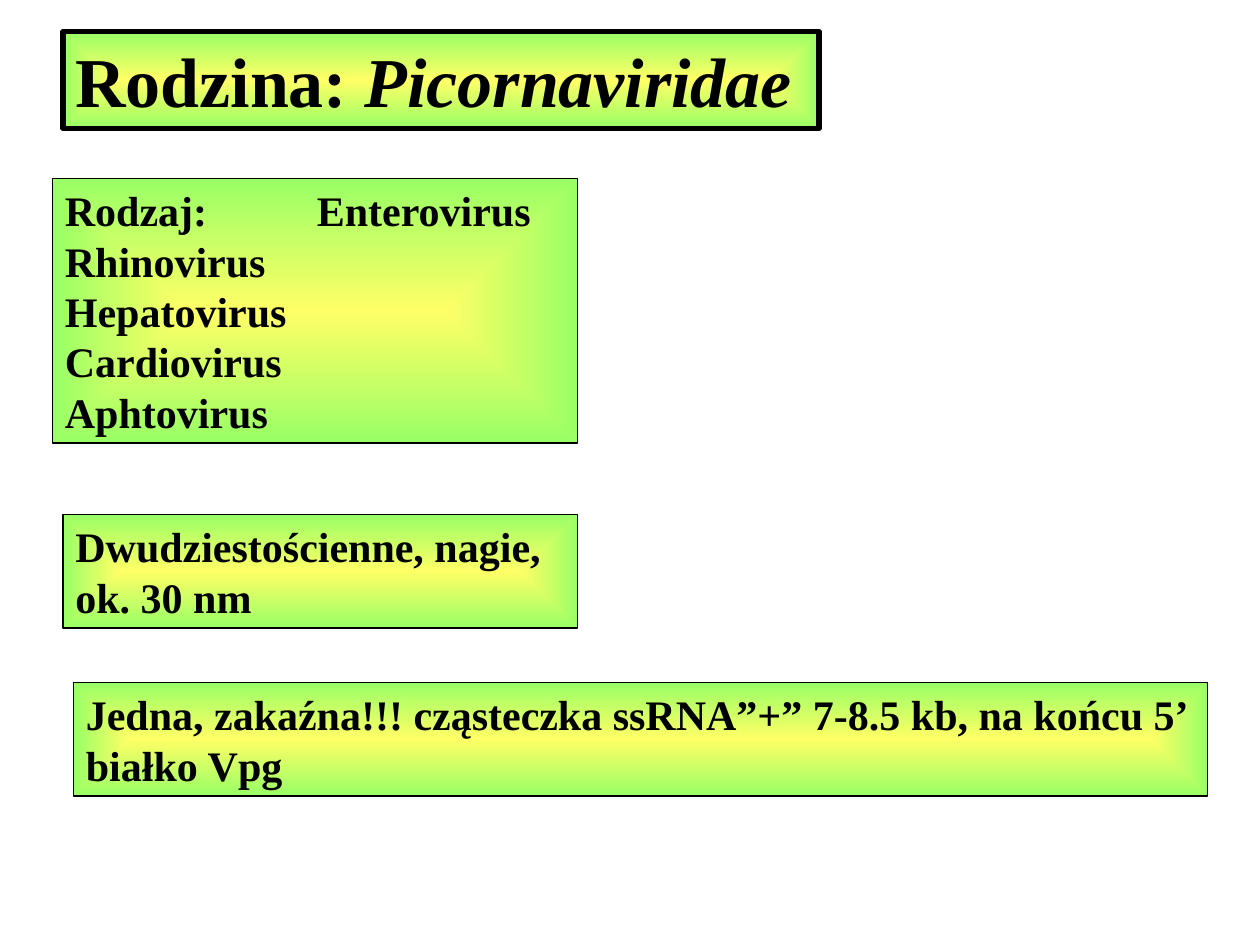
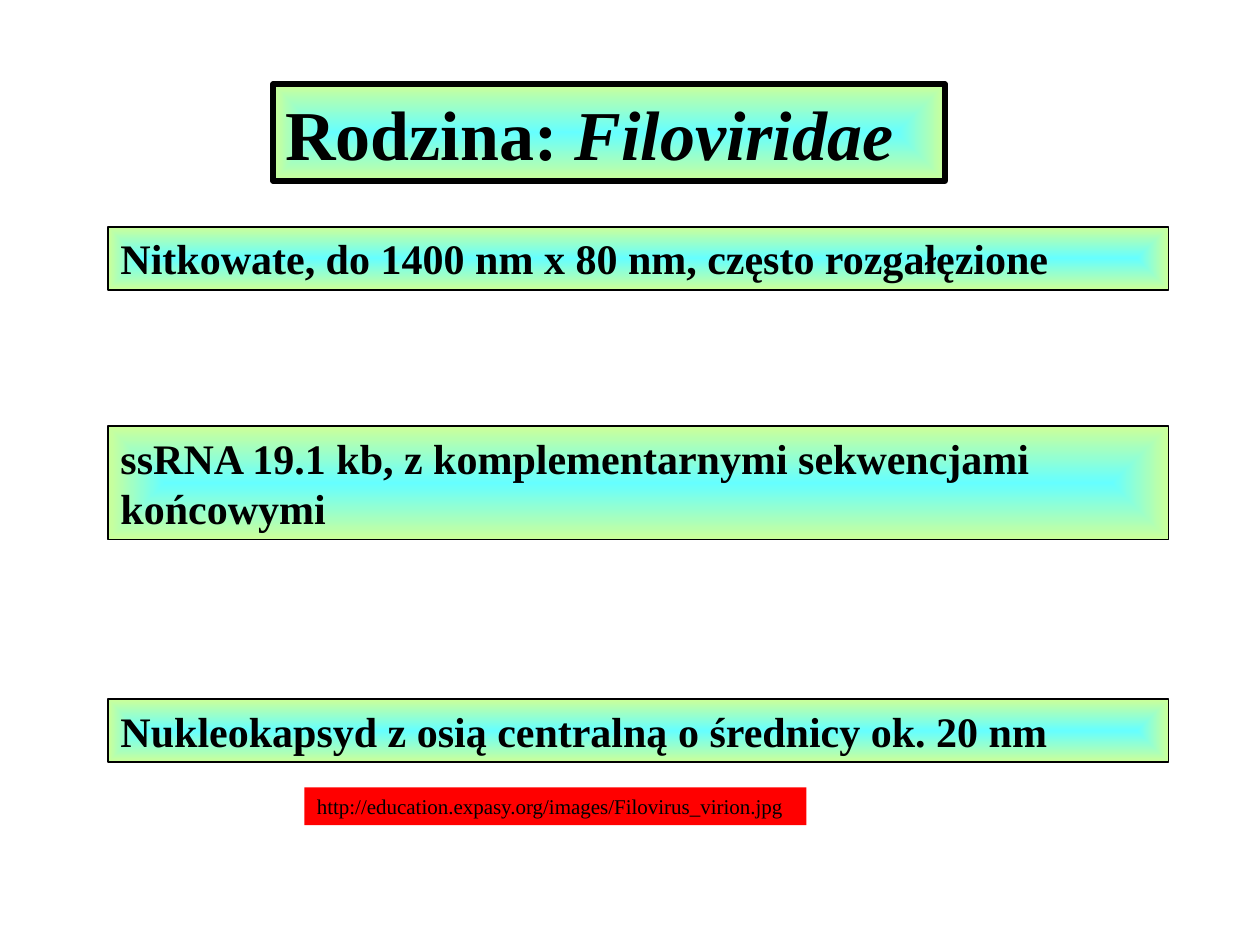
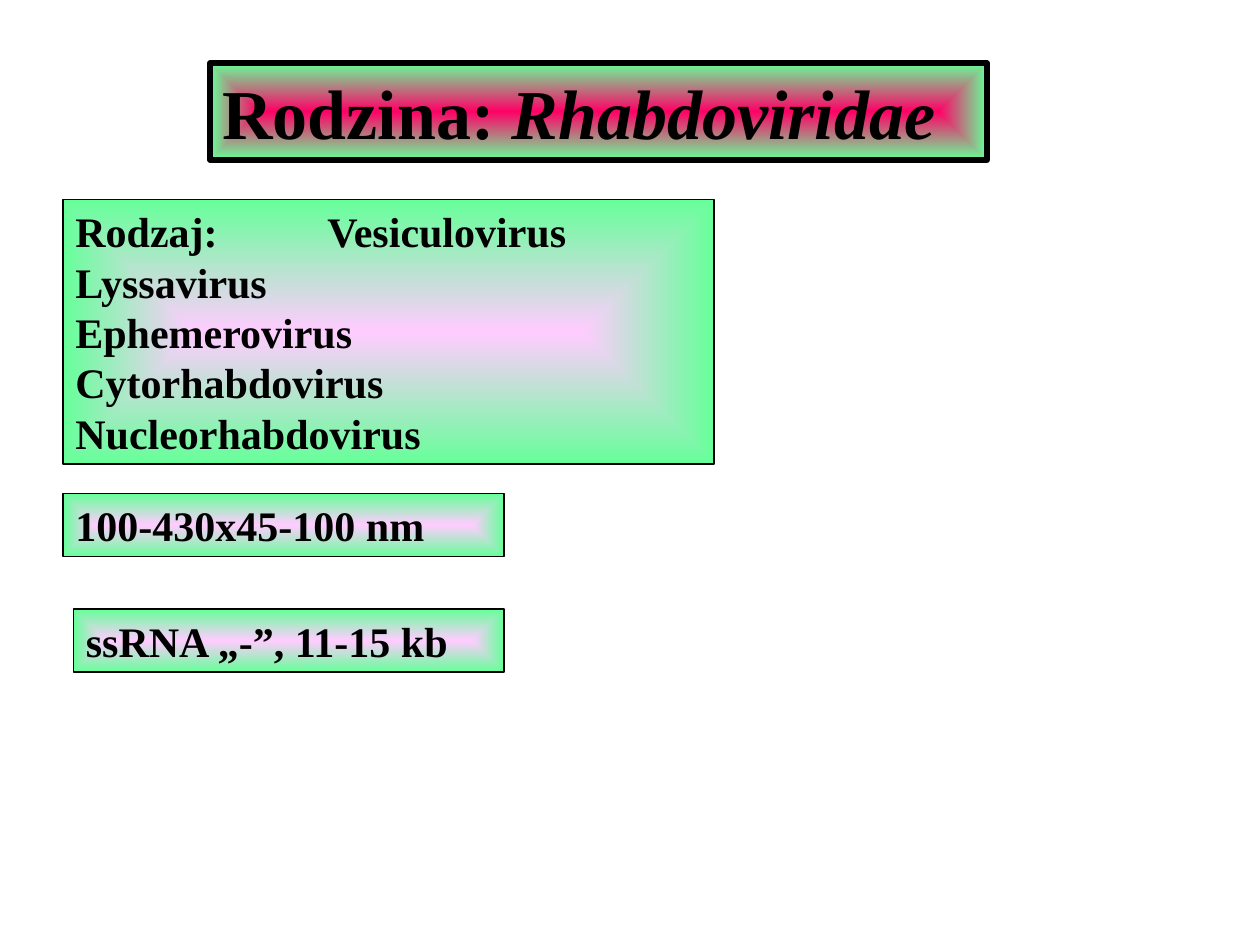
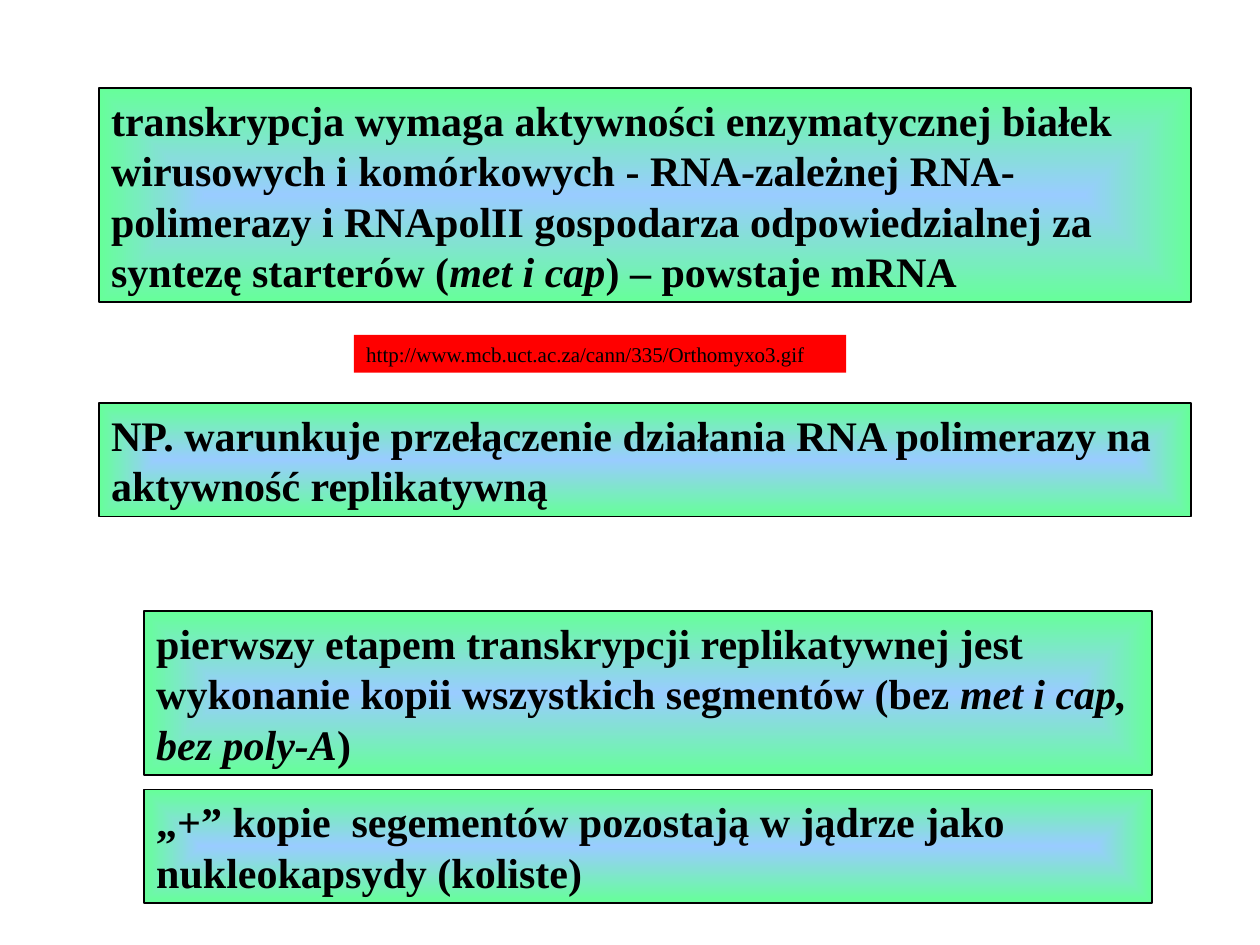
import pptx
import pptx.util
import pptx.dml.color
import pptx.enum.shapes
import pptx.enum.text
import pptx.oxml
import pptx.oxml.ns

COLOURS = {
    "ink": "000000", "link": "FF0000",
    "yellow": "FFFF66", "lime": "99FF66",
    "cyan": "66FFFF", "pale lime": "CCFF99",
    "pink": "FFCCFF", "crimson": "FF0066",
    "mint": "66FF99", "blue": "99CCFF",
}
FONT = "Times New Roman"
# Kind of box: text size, bold, border, height of one line in inches
KINDS = {
    "title": (40, True, 3, 0.67),
    "fact": (24, True, 1, 0.4),
    "link": (12, False, 0, 0.2),
}
PADDING = 0.1  # top and bottom insets together, inches
GENUS_TAB = 24  # columns

deck = pptx.Presentation()
deck.slide_width = pptx.util.Inches(10)
deck.slide_height = pptx.util.Inches(7.5)
COLUMN = deck.slide_width / 120
ROW = deck.slide_height / 90


def colour(name):
    return pptx.dml.color.RGBColor.from_string(COLOURS[name])


def add_box(slide, kind, left, top, width, line_count, text, centre=None, edge=None):
    """Add a text box in grid cells; *stars* mark italics, newlines break lines."""
    size, bold, border, line_height = KINDS[kind]
    box = slide.shapes.add_shape(
        pptx.enum.shapes.MSO_SHAPE.RECTANGLE,
        round(left * COLUMN), round(top * ROW), round(width * COLUMN),
        pptx.util.Inches(line_count * line_height + PADDING))
    box.shadow.inherit = False

    # Fill: plain red for links, otherwise from the centre to the edge
    if kind == "link":
        box.fill.solid()
        box.fill.fore_color.rgb = colour("link")
        box.line.fill.background()
    else:
        box.fill.gradient()
        for stop, name in zip(box.fill.gradient_stops, (centre, edge)):
            stop.color.rgb = colour(name)
        gradient = box._element.spPr.find(pptx.oxml.ns.qn("a:gradFill"))
        gradient.replace(
            gradient.find(pptx.oxml.ns.qn("a:lin")),
            pptx.oxml.parse_xml(
                f'<a:path {pptx.oxml.ns.nsdecls("a")} path="rect">'
                '<a:fillToRect l="50000" t="50000" r="50000" b="50000"/></a:path>'))
        box.line.color.rgb = colour("ink")
        box.line.width = pptx.util.Pt(border)

    # Text
    frame = box.text_frame
    frame.word_wrap = True
    frame.auto_size = pptx.enum.text.MSO_AUTO_SIZE.SHAPE_TO_FIT_TEXT
    frame.vertical_anchor = pptx.enum.text.MSO_ANCHOR.TOP
    paragraph = frame.paragraphs[0]
    paragraph.alignment = pptx.enum.text.PP_ALIGN.LEFT
    if "\t" in text:
        paragraph._p.get_or_add_pPr().append(pptx.oxml.parse_xml(
            f'<a:tabLst {pptx.oxml.ns.nsdecls("a")}>'
            f'<a:tab pos="{round(GENUS_TAB * COLUMN)}" algn="l"/></a:tabLst>'))
    for number, line in enumerate(text.split("\n")):
        if number:
            paragraph.add_line_break()
        for position, part in enumerate(line.split("*")):
            if part:
                run = paragraph.add_run()
                run.text = part
                if position % 2:
                    run.font.italic = True
    paragraph.font.name = FONT
    paragraph.font.size = pptx.util.Pt(size)
    paragraph.font.bold = bold
    paragraph.font.color.rgb = colour("ink")


# Each slide: edge colour, title centre, fact centre, boxes from back to front
# Each box: kind, left, top, width, number of lines, text
slides = [
    # Picornaviridae
    ("lime", "yellow", "yellow", [
        ("title", 6, 3, 72, 1, "Rodzina: *Picornaviridae*"),
        ("fact", 5, 17, 50, 5,
         "Rodzaj:\tEnterovirus\nRhinovirus\nHepatovirus\nCardiovirus\nAphtovirus"),
        ("fact", 6, 49, 49, 2, "Dwudziestościenne, nagie, ok. 30 nm"),
        ("fact", 7, 65, 108, 2,
         "Jedna, zakaźna!!! cząsteczka ssRNA”+” 7-8.5 kb, na końcu 5’ białko Vpg"),
    ]),
    # Filoviridae
    ("pale lime", "cyan", "cyan", [
        ("title", 26, 8, 64, 1, "Rodzina: *Filoviridae*"),
        ("fact", 10.3, 21.6, 101, 1, "Nitkowate, do 1400 nm x 80 nm, często rozgałęzione"),
        ("fact", 10.3, 40.6, 101, 2,
         "ssRNA 19.1 kb, z komplementarnymi sekwencjami końcowymi"),
        ("fact", 10.3, 66.6, 101, 1, "Nukleokapsyd z osią centralną o średnicy ok. 20 nm"),
        ("link", 29, 75, 47.8, 1, "http://education.expasy.org/images/Filovirus_virion.jpg"),
    ]),
    # Rhabdoviridae
    ("mint", "crimson", "pink", [
        ("fact", 6, 19, 62, 5,
         "Rodzaj:\tVesiculovirus\nLyssavirus\nEphemerovirus\n"
         "Cytorhabdovirus\nNucleorhabdovirus"),
        ("fact", 6, 47, 42, 1, "100-430x45-100 nm"),
        ("fact", 7, 58, 41, 1, "ssRNA „-”, 11-15 kb"),
        ("title", 20, 6, 74, 1, "Rodzina: *Rhabdoviridae*"),
    ]),
    # Transcription and replication
    ("mint", "blue", "blue", [
        ("fact", 9.4, 8.4, 104, 4,
         "transkrypcja wymaga aktywności enzymatycznej białek wirusowych i komórkowych"
         " - RNA-zależnej RNA-polimerazy i RNApolII gospodarza odpowiedzialnej za"
         " syntezę starterów (*met i cap*) – powstaje mRNA"),
        ("link", 33.7, 31.9, 46.9, 1, "http://www.mcb.uct.ac.za/cann/335/Orthomyxo3.gif"),
        ("fact", 9.4, 38.4, 104, 2,
         "NP. warunkuje przełączenie działania RNA polimerazy na aktywność replikatywną"),
        ("fact", 13.7, 75.2, 96, 2,
         "„+” kopie  segementów pozostają w jądrze jako nukleokapsydy (koliste)"),
        ("fact", 13.7, 58.2, 96, 3,
         "pierwszy etapem transkrypcji replikatywnej jest wykonanie kopii wszystkich"
         " segmentów (bez *met i cap, bez poly-A*)"),
    ]),
]

for edge, title_centre, fact_centre, boxes in slides:
    slide = deck.slides.add_slide(deck.slide_layouts[6])
    for kind, *place_and_text in boxes:
        centre = title_centre if kind == "title" else fact_centre
        add_box(slide, kind, *place_and_text, centre, edge)

deck.save("out.pptx")
